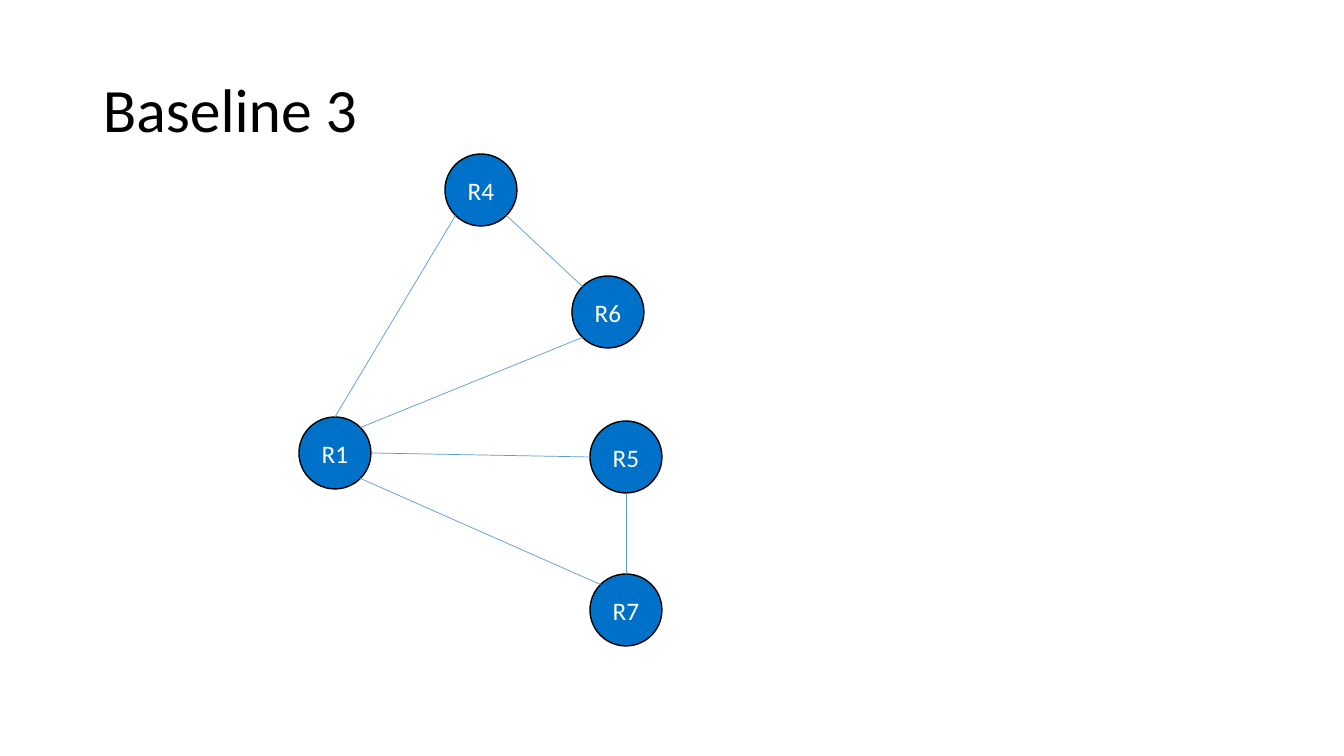
from dataclasses import dataclass
from math import cos, radians, sin

from pptx import Presentation
from pptx.dml.color import RGBColor
from pptx.enum.shapes import MSO_CONNECTOR, MSO_SHAPE
from pptx.enum.text import MSO_ANCHOR, PP_ALIGN
from pptx.oxml.ns import qn
from pptx.util import Emu, Pt

SCALE = 914400 / 100.8
DIAMETER = 72
ROUTERS = {
    "R1": (299, 417),
    "R5": (590, 421),
    "R6": (572, 276),
    "R4": (445, 154),
    "R7": (590, 574),
}
SITES = {
    "right": 0,
    "bottom right": 45,
    "bottom": 90,
    "bottom left": 135,
    "top left": 225,
    "top": 270,
    "top right": 315,
}
LINKS = [
    ("R1", "right", "R5", "left"),
    ("R6", "bottom left", "R1", "top right"),
    ("R4", "bottom right", "R6", "top left"),
    ("R5", "bottom", "R7", "top"),
    ("R1", "top", "R4", "bottom left"),
    ("R1", "bottom right", "R7", "top left"),
]
SITES["left"] = 180


@dataclass(frozen=True)
class Theme:
    """Hold the colours, font and sizes of the slide."""

    font: str = "Calibri"
    node: RGBColor = RGBColor(0x00, 0x71, 0xC8)
    link: RGBColor = RGBColor(0x5B, 0x9B, 0xD5)
    dark: RGBColor = RGBColor(0, 0, 0)
    light: RGBColor = RGBColor(255, 255, 255)
    title_size: int = 44
    label_size: int = 18
    outline: float = 1
    link_width: float = 0.5


THEME = Theme()


def px(length):
    """Turn pixels into EMU."""
    return Emu(round(length * SCALE))


def apply_format(target, values):
    """Set each named attribute on the target."""
    for name, value in values.items():
        setattr(target, name, value)


def write_text(shape, text, size, color, **para_format):
    """Write one vertically centred paragraph into a shape."""
    frame = shape.text_frame
    apply_format(frame, {"word_wrap": True, "vertical_anchor": MSO_ANCHOR.MIDDLE})
    para = frame.paragraphs[0]
    apply_format(para, para_format)
    span = para.add_run()
    span.text = text
    apply_format(span.font, {"name": THEME.font, "size": Pt(size)})
    span.font.color.rgb = color


def set_line(shape, color, width):
    """Give a shape or connector a solid line."""
    shape.line.color.rgb = color
    shape.line.width = Pt(width)


def add_title(page, text):
    """Add the slide title."""
    box = page.shapes.add_textbox(px(93), px(40), px(1159), px(146))
    write_text(box, text, THEME.title_size, THEME.dark, line_spacing=0.9)


def add_router(page, name):
    """Add a labelled circle for a router."""
    left, top = ROUTERS[name]
    circle = page.shapes.add_shape(
        MSO_SHAPE.OVAL, px(left), px(top), px(DIAMETER), px(DIAMETER)
    )
    circle.shadow.inherit = False
    circle.fill.solid()
    circle.fill.fore_color.rgb = THEME.node
    set_line(circle, THEME.dark, THEME.outline)
    write_text(
        circle, name, THEME.label_size, THEME.light, alignment=PP_ALIGN.CENTER
    )


def rim_point(name, site):
    """Find the point of a router's rim at a named site."""
    radius, angle = DIAMETER / 2, radians(SITES[site])
    left, top = ROUTERS[name]
    return px(left + radius * (1 + cos(angle))), px(top + radius * (1 + sin(angle)))


def add_link(page, source, source_site, target, target_site):
    """Join two routers with a thin line."""
    link = page.shapes.add_connector(
        MSO_CONNECTOR.STRAIGHT,
        *rim_point(source, source_site),
        *rim_point(target, target_site),
    )
    set_line(link, THEME.link, THEME.link_width)
    properties = link.element.find(qn("p:spPr"))
    properties.append(properties.makeelement(qn("a:effectLst"), {}))


def main():
    """Build the slide and save it."""
    deck = Presentation()
    apply_format(deck, {"slide_width": px(1344), "slide_height": px(756)})
    page = deck.slides.add_slide(deck.slide_layouts[6])
    add_title(page, "Baseline 3")
    for name in ROUTERS:
        add_router(page, name)
    for link in LINKS:
        add_link(page, *link)
    deck.save("out.pptx")


main()
